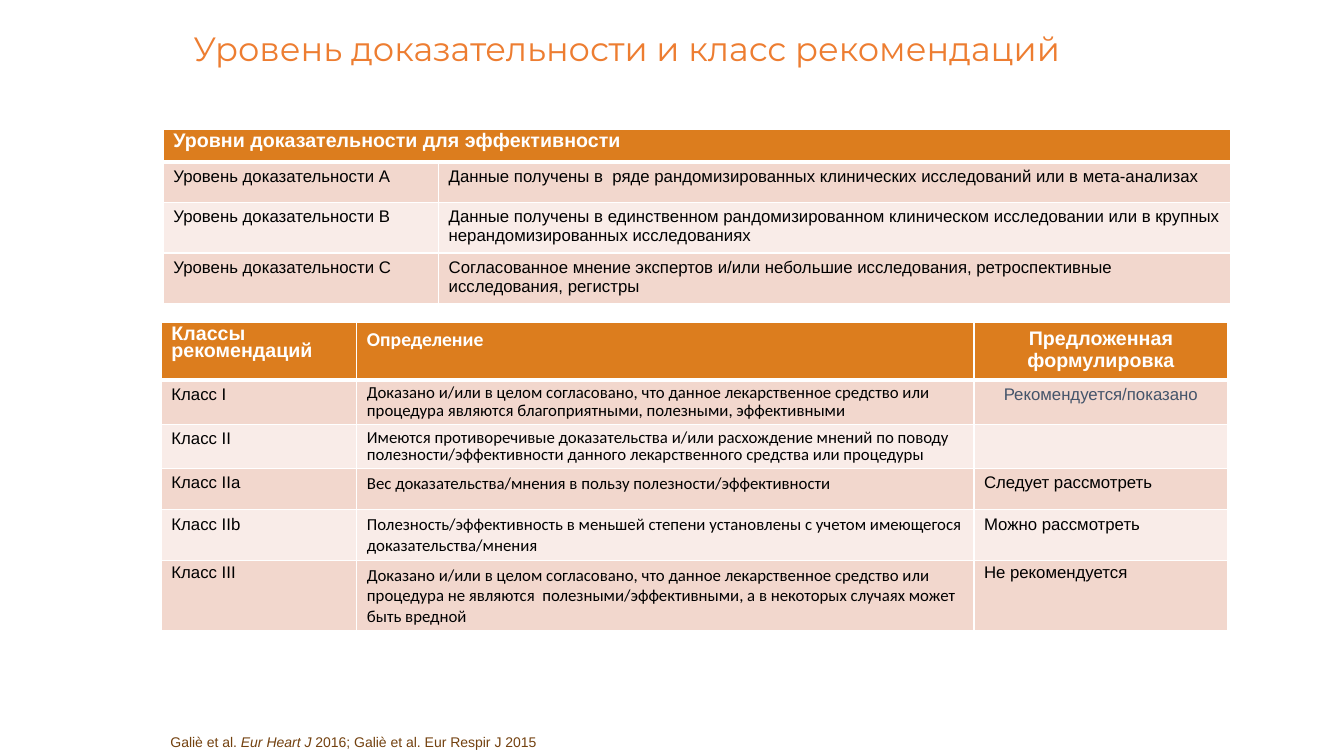
from lxml import etree
from pptx import Presentation
from pptx import util as u
from pptx.dml.color import RGBColor
from pptx.enum import text
from pptx.oxml import ns

TITLE = "Уровень доказательности и класс рекомендаций"
SOURCE = [
    ("Galiè et al. ", False),
    ("Eur Heart J", True),
    (" 2016; Galiè et al. Eur Respir J 2015", False),
]
TABLES = [
    {
        "origin": (1.62, 1.28),
        "columns": (2.73, 7.86),
        "rows": (0.33, 0.4, 0.4, 0.33),
        "cells": [
            [("head_tight", "Уровни доказательности для эффективности")],
            [("body", "Уровень доказательности A"),
             ("body", "Данные получены в  ряде рандомизированных клинических исследований или в мета-анализах")],
            [("body", "Уровень доказательности B"),
             ("body", "Данные получены в единственном рандомизированном клиническом исследовании "
                      "или в крупных нерандомизированных исследованиях")],
            [("body", "Уровень доказательности C"),
             ("body", "Согласованное мнение экспертов и/или небольшие исследования, "
                      "ретроспективные исследования, регистры")],
        ],
    },
    {
        "origin": (1.6, 3.2),
        "columns": (1.94, 6.12, 2.52),
        "rows": (0.41, 0.44, 0.44, 0.41, 0.41, 0.44),
        "cells": [
            [("head_tight", "Классы рекомендаций"),
             ("head_definition", "Определение"),
             ("head_center", "Предложенная формулировка")],
            [("body", "Класс I"),
             ("definition_tight", "Доказано и/или в целом согласовано, что данное лекарственное средство "
                                  "или процедура являются благоприятными, полезными, эффективными"),
             ("wording_center", "Рекомендуется/показано")],
            [("body", "Класс II"),
             ("definition_tight", "Имеются противоречивые доказательства и/или расхождение мнений по поводу "
                                  "полезности/эффективности данного лекарственного средства или процедуры"),
             ("body", "")],
            [("body", "Класс IIa"),
             ("definition", "Вес доказательства/мнения в пользу полезности/эффективности"),
             ("body", "Следует рассмотреть")],
            [("body", "Класс IIb"),
             ("definition", "Полезность/эффективность в меньшей степени установлены с учетом "
                            "имеющегося доказательства/мнения"),
             ("body", "Можно рассмотреть")],
            [("body_tight", "Класс III"),
             ("definition", "Доказано и/или в целом согласовано, что данное лекарственное средство "
                            "или процедура не являются  полезными/эффективными, а в некоторых случаях "
                            "может быть вредной"),
             ("body_tight", "Не рекомендуется")],
        ],
    },
]

CENTER = text.PP_ALIGN.CENTER
HEAD = {"name": "Arial", "size": 14, "bold": True, "color": "FFFFFF"}
BODY = {"name": "Arial", "size": 12, "bold": False, "color": "000000"}
DEFINITION = {**BODY, "name": "Calibri"}
THEME = {
    "head_fill": "DC7D1E",
    "band_fills": ("F9ECE8", "F2D7CD"),
    "border": "FFFFFF",
    "thin": 1,
    "thick": 3,
    "title": ({"name": "Montserrat", "size": 24, "color": "ED7D31"}, {}),
    "source": ({"name": "Arial", "size": 10, "color": "73410F"}, {"line_spacing": 1.25}),
    "head_tight": (HEAD, {"line_spacing": 0.75}),
    "head_definition": ({**HEAD, "name": "Calibri"}, {}),
    "head_center": (HEAD, {"alignment": CENTER}),
    "body": (BODY, {}),
    "body_tight": (BODY, {"line_spacing": 0.85}),
    "definition": (DEFINITION, {}),
    "definition_tight": (DEFINITION, {"line_spacing": 0.85}),
    "wording_center": ({**BODY, "color": "44546A"}, {"alignment": CENTER}),
}


def write(frame, style, spans):
    font_format, para_format = THEME[style]
    para = frame.paragraphs[0]
    for key, value in para_format.items():
        setattr(para, key, value)
    for words, italic in spans:
        span = para.add_run()
        span.text = words
        for key, value in {**font_format, "italic": italic}.items():
            if key == "color":
                span.font.color.rgb = RGBColor.from_string(value)
            else:
                setattr(span.font, key, u.Pt(value) if key == "size" else value)


def add_text(slide, area, style, spans, left_inset=0.1):
    box = slide.shapes.add_textbox(*map(u.Inches, area))
    box.text_frame.word_wrap = True
    box.text_frame.margin_left = u.Inches(left_inset)
    write(box.text_frame, style, spans)


def set_borders(cell, row):
    widths = {"L": THEME["thin"], "R": THEME["thin"],
              "T": THEME["thick"] if row == 1 else THEME["thin"],
              "B": THEME["thick"] if row == 0 else THEME["thin"]}
    properties = cell._tc.get_or_add_tcPr()
    for side, width in widths.items():
        line = etree.SubElement(properties, ns.qn(f"a:ln{side}"), w=str(u.Pt(width)))
        fill = etree.SubElement(line, ns.qn("a:solidFill"))
        etree.SubElement(fill, ns.qn("a:srgbClr"), val=THEME["border"])


def add_grid(slide, content):
    columns, rows, cells = content["columns"], content["rows"], content["cells"]
    size = (sum(columns), sum(rows))
    table = slide.shapes.add_table(len(rows), len(columns),
                                   *map(u.Inches, content["origin"] + size)).table
    table.horz_banding = False
    for column, width in zip(table.columns, columns):
        column.width = u.Inches(width)
    for index, height in enumerate(rows):
        table.rows[index].height = u.Inches(height)
        fill = THEME["band_fills"][index % 2] if index else THEME["head_fill"]
        for column in range(len(columns)):
            cell = table.cell(index, column)
            set_borders(cell, index)
            cell.fill.solid()
            cell.fill.fore_color.rgb = RGBColor.from_string(fill)
        for column, (style, words) in enumerate(cells[index]):
            if words:
                write(table.cell(index, column).text_frame, style, [(words, False)])
        if len(cells[index]) < len(columns):
            table.cell(index, 0).merge(table.cell(index, len(columns) - 1))


def main():
    deck = Presentation()
    deck.slide_width, deck.slide_height = u.Inches(13.33), u.Inches(7.5)
    slide = deck.slides.add_slide(deck.slide_layouts[6])
    add_text(slide, (1.82, 0.23, 10.2, 0.92), "title", [(TITLE, False)])
    for content in TABLES:
        add_grid(slide, content)
    add_text(slide, (1.54, 7.19, 8.61, 0.29), "source", SOURCE, left_inset=0.15)
    deck.save("out.pptx")


if __name__ == "__main__":
    main()
